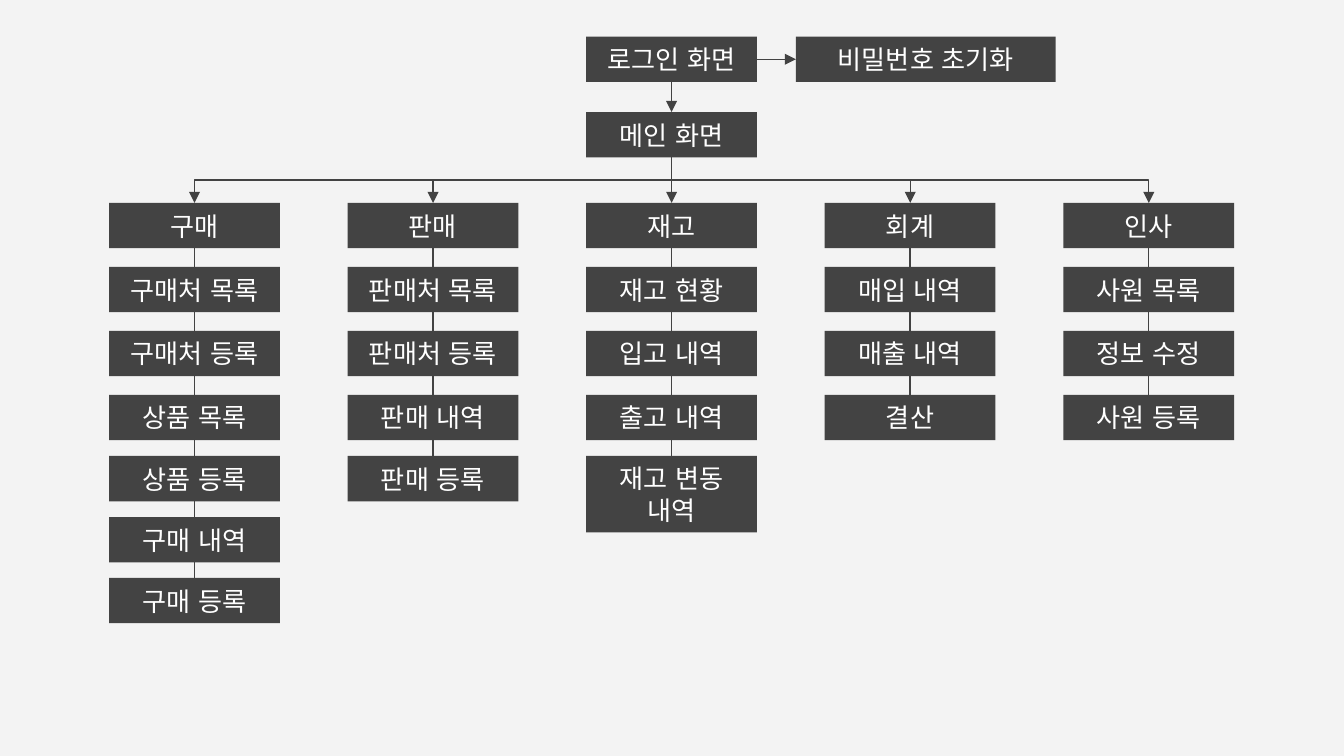
from lxml.etree import SubElement
from pptx import Presentation
from pptx.dml.color import RGBColor
from pptx.enum.shapes import MSO_CONNECTOR, MSO_SHAPE
from pptx.enum.text import MSO_ANCHOR, MSO_AUTO_SIZE, PP_ALIGN
from pptx.oxml.ns import qn
from pptx.util import Pt

BACKGROUND = RGBColor(0xF3, 0xF3, 0xF3)
BOX_FILL = RGBColor(0x43, 0x43, 0x43)
LINE = RGBColor(0x42, 0x42, 0x42)
WHITE = RGBColor(0xFF, 0xFF, 0xFF)

# Layout in points
CENTER = 359.8
COLUMN_STEP = 127.8
BOX_W, BOX_H, TALL_BOX_H = 91.5, 24.3, 41
RESET_LEFT, RESET_W = 426.4, 139.2
LOGIN_TOP, MAIN_TOP = 19.6, 60
ROW_TOPS = [108.7, 143, 177.2, 211.5, 244.3, 277, 309.6]

MENUS = [
    ["구매", "구매처 목록", "구매처 등록", "상품 목록", "상품 등록", "구매 내역", "구매 등록"],
    ["판매", "판매처 목록", "판매처 등록", "판매 내역", "판매 등록"],
    ["재고", "재고 현황", "입고 내역", "출고 내역", "재고 변동 내역"],
    ["회계", "매입 내역", "매출 내역", "결산"],
    ["인사", "사원 목록", "정보 수정", "사원 등록"],
]
TWO_LINE_MENU = "재고 변동 내역"


def write_text(frame, text, font="Arial", size=14, color=WHITE, align=PP_ALIGN.CENTER):
    paragraph = frame.paragraphs[0]
    paragraph.alignment = align
    run = paragraph.add_run()
    run.text = text
    run.font.name = font
    run.font.size = Pt(size)
    run.font.color.rgb = color
    # Korean letters take the East Asian typeface
    SubElement(run.font._element, qn("a:ea"), typeface=font)


class ScreenMap:
    def __init__(self, slide, line_width=0.75):
        self.shapes = slide.shapes
        self.line_width = line_width

    def box(self, text, left, top, width=BOX_W, height=BOX_H):
        screen = self.shapes.add_shape(
            MSO_SHAPE.RECTANGLE, Pt(left), Pt(top), Pt(width), Pt(height))
        screen.shadow.inherit = False
        screen.fill.solid()
        screen.fill.fore_color.rgb = BOX_FILL
        screen.line.fill.background()
        frame = screen.text_frame
        frame.word_wrap = True
        frame.auto_size = MSO_AUTO_SIZE.SHAPE_TO_FIT_TEXT
        frame.vertical_anchor = MSO_ANCHOR.MIDDLE
        write_text(frame, text)

    def link(self, x1, y1, x2, y2, arrow=False, kind=MSO_CONNECTOR.STRAIGHT):
        link = self.shapes.add_connector(kind, Pt(x1), Pt(y1), Pt(x2), Pt(y2))
        link.line.color.rgb = LINE
        link.line.width = Pt(self.line_width)
        if arrow:
            SubElement(link.line._get_or_add_ln(), qn("a:tailEnd"), type="triangle")
        SubElement(link._element.spPr, qn("a:effectLst"))
        return link

    def branch(self, x1, y1, x2, y2):
        """Arrow that runs down, across and down again."""
        if x1 == x2:
            self.link(x1, y1, x2, y2, arrow=True)
            return
        # An elbow starts sideways, so it is laid out turned by a quarter
        middle_x, middle_y = (x1 + x2) / 2, (y1 + y2) / 2
        half_drop = (y2 - y1) / 2 * (1 if x2 < x1 else -1)
        half_span = abs(x2 - x1) / 2
        elbow = self.link(middle_x - half_drop, middle_y - half_span,
                          middle_x + half_drop, middle_y + half_span,
                          arrow=True, kind=MSO_CONNECTOR.ELBOW)
        degrees = 90 if x2 < x1 else 270
        elbow._element.spPr.find(qn("a:xfrm")).set("rot", str(degrees * 60000))


def main():
    deck = Presentation()
    deck.slide_width, deck.slide_height = Pt(720), Pt(405)
    slide = deck.slides.add_slide(deck.slide_layouts[6])
    slide.background.fill.solid()
    slide.background.fill.fore_color.rgb = BACKGROUND
    screens = ScreenMap(slide)

    # Login, password reset and main screen
    main_left = CENTER - BOX_W / 2
    login_middle = LOGIN_TOP + BOX_H / 2
    screens.box("로그인 화면", main_left, LOGIN_TOP)
    screens.box("비밀번호 초기화", RESET_LEFT, LOGIN_TOP, width=RESET_W)
    screens.link(main_left + BOX_W, login_middle, RESET_LEFT, login_middle, arrow=True)
    screens.box("메인 화면", main_left, MAIN_TOP)
    screens.link(CENTER, LOGIN_TOP + BOX_H, CENTER, MAIN_TOP, arrow=True)

    # One column of screens for each menu
    for column, menu in enumerate(MENUS):
        x = CENTER + (column - 2) * COLUMN_STEP
        screens.branch(CENTER, MAIN_TOP + BOX_H, x, ROW_TOPS[0])
        for row, (name, top) in enumerate(zip(menu, ROW_TOPS)):
            height = TALL_BOX_H if name == TWO_LINE_MENU else BOX_H
            screens.box(name, x - BOX_W / 2, top, height=height)
            if row:
                screens.link(x, ROW_TOPS[row - 1] + BOX_H, x, top)

    deck.save("out.pptx")


if __name__ == "__main__":
    main()
